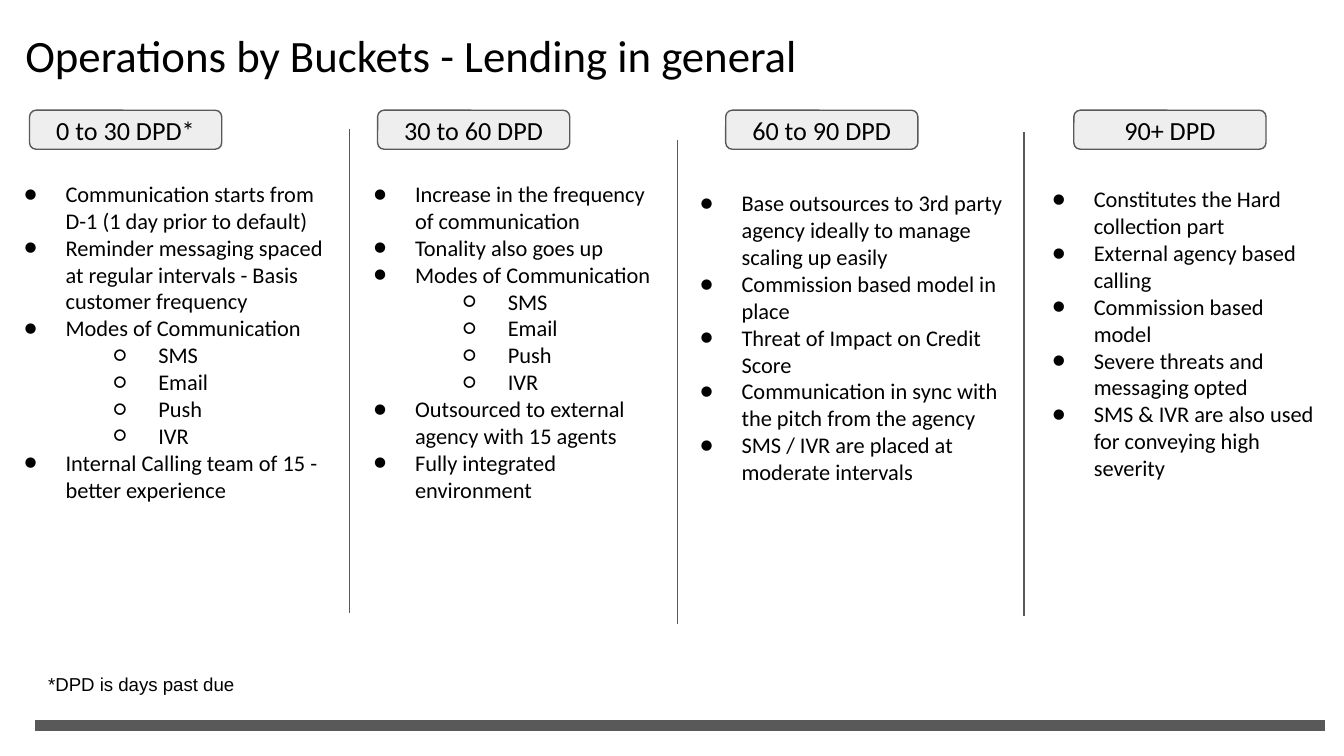
import pptx
import pptx.util
import pptx.dml.color
import pptx.enum.shapes
import pptx.enum.text
import pptx.oxml.ns
from lxml import etree

Inches, Pt = pptx.util.Inches, pptx.util.Pt
qn = pptx.oxml.ns.qn
BLACK, GREY, PALE = "000000", "595959", "EEEEEE"


def rgb(value):
    return pptx.dml.color.RGBColor.from_string(value)


class Deck:
    """Holds the style and the current slide."""
    font = "Calibri"

    def __init__(self, width, height):
        self.prs = pptx.Presentation()
        self.prs.slide_width, self.prs.slide_height = Inches(width), Inches(height)
        self.s = self.prs.slides.add_slide(self.prs.slide_layouts[6])

    def style(self, p, text, size, font=None):
        p.text = text
        p.font.size = Pt(size)
        p.font.name = font or self.font
        p.font.color.rgb = rgb(BLACK)

    def frame(self, sp):
        tf = sp.text_frame
        tf.word_wrap = True
        tf.margin_left = tf.margin_right = tf.margin_top = tf.margin_bottom = Inches(0.1)
        return tf

    def box(self, x, y, w, h):
        return self.frame(self.s.shapes.add_textbox(Inches(x), Inches(y), Inches(w), Inches(h)))

    def text(self, x, y, w, h, text, size, font=None):
        self.style(self.box(x, y, w, h).paragraphs[0], text, size, font)

    def line(self, x1, y1, x2, y2, width=0.75):
        c = self.s.shapes.add_connector(pptx.enum.shapes.MSO_CONNECTOR.STRAIGHT,
                                        Inches(x1), Inches(y1), Inches(x2), Inches(y2))
        c.line.color.rgb = rgb(GREY)
        c.line.width = Pt(width)
        etree.SubElement(c._element.spPr, qn("a:effectLst"))

    def label(self, x, y, w, h, text):
        sp = self.s.shapes.add_shape(pptx.enum.shapes.MSO_SHAPE.ROUNDED_RECTANGLE,
                                     Inches(x), Inches(y), Inches(w), Inches(h))
        sp.shadow.inherit = False
        sp.fill.solid()
        sp.fill.fore_color.rgb = rgb(PALE)
        sp.line.color.rgb = rgb(GREY)
        sp.line.width = Pt(0.75)
        tf = self.frame(sp)
        tf.vertical_anchor = pptx.enum.text.MSO_ANCHOR.MIDDLE
        p = tf.paragraphs[0]
        self.style(p, text, 14)
        p.alignment = pptx.enum.text.PP_ALIGN.CENTER

    def bullets(self, x, y, w, h, items):
        """A nested list among the items becomes second-level bullets."""
        rows = []
        for item in items:
            if isinstance(item, list):
                rows += [(1, sub) for sub in item]
            else:
                rows.append((0, item))
        tf = self.box(x, y, w, h)
        for i, (level, text) in enumerate(rows):
            p = tf.add_paragraph() if i else tf.paragraphs[0]
            self.style(p, text, 12)
            p.level = level
            pPr = p._p.get_or_add_pPr()
            pPr.set("marL", str(Inches((0.31, 1)[level])))
            pPr.set("indent", str(Inches(-0.33)))
            color = etree.Element(qn("a:buClr"))
            etree.SubElement(color, qn("a:srgbClr"), val=BLACK)
            marks = [color,
                     etree.Element(qn("a:buSzPts"), val="1200"),
                     etree.Element(qn("a:buFont"), typeface=self.font),
                     etree.Element(qn("a:buChar"), char="●○"[level])]
            for place, mark in enumerate(marks):
                pPr.insert(place, mark)


CHANNELS = ["SMS", "Email", "Push", "IVR"]

# Each bucket: heading, list position and size, points
BUCKETS = [
    ("0 to 30 DPD*", (0.08, 1.24, 2.54, 3.6), [
        "Communication starts from D-1 (1 day prior to default)",
        "Reminder messaging spaced at regular intervals - Basis customer frequency",
        "Modes of Communication", CHANNELS,
        "Internal Calling team of 15 - better experience"]),
    ("30 to 60 DPD", (2.68, 1.24, 2.31, 3.11), [
        "Increase in the frequency of communication",
        "Tonality also goes up",
        "Modes of Communication", CHANNELS,
        "Outsourced to external agency with 15 agents",
        "Fully integrated environment"]),
    ("60 to 90 DPD", (5.11, 1.31, 2.54, 2.94), [
        "Base outsources to 3rd party agency ideally to manage scaling up easily",
        "Commission based model in place",
        "Threat of Impact on Credit Score",
        "Communication in sync with the pitch from the agency",
        "SMS / IVR are placed at moderate intervals"]),
    ("90+ DPD", (7.73, 1.28, 2.22, 2.97), [
        "Constitutes the Hard collection part",
        "External agency based calling",
        "Commission based model",
        "Severe threats and messaging opted",
        "SMS & IVR are also used for conveying high severity"]),
]


def main():
    deck = Deck(10, 10 * 9 / 16)

    # Title and bottom bar
    deck.text(0.09, 0.11, 9.32, 0.63, "Operations by Buckets - Lending in general", 24)
    deck.line(0.26, 5.4, 9.86, 5.4, 6)

    # Column dividers
    for x, top in ((2.6, 0.96), (5.04, 1.04), (7.62, 0.98)):
        deck.line(x, top, x, top + 3.6)

    # Buckets
    for i, (heading, area, points) in enumerate(BUCKETS):
        deck.label(0.22 + 2.59 * i, 0.82, 1.43, 0.29, heading)
        deck.bullets(*area, points)

    # Footnote
    deck.text(0.26, 4.92, 2.02, 0.36, "*DPD is days past due", 10, "Arial")

    deck.prs.save("out.pptx")


if __name__ == "__main__":
    main()
